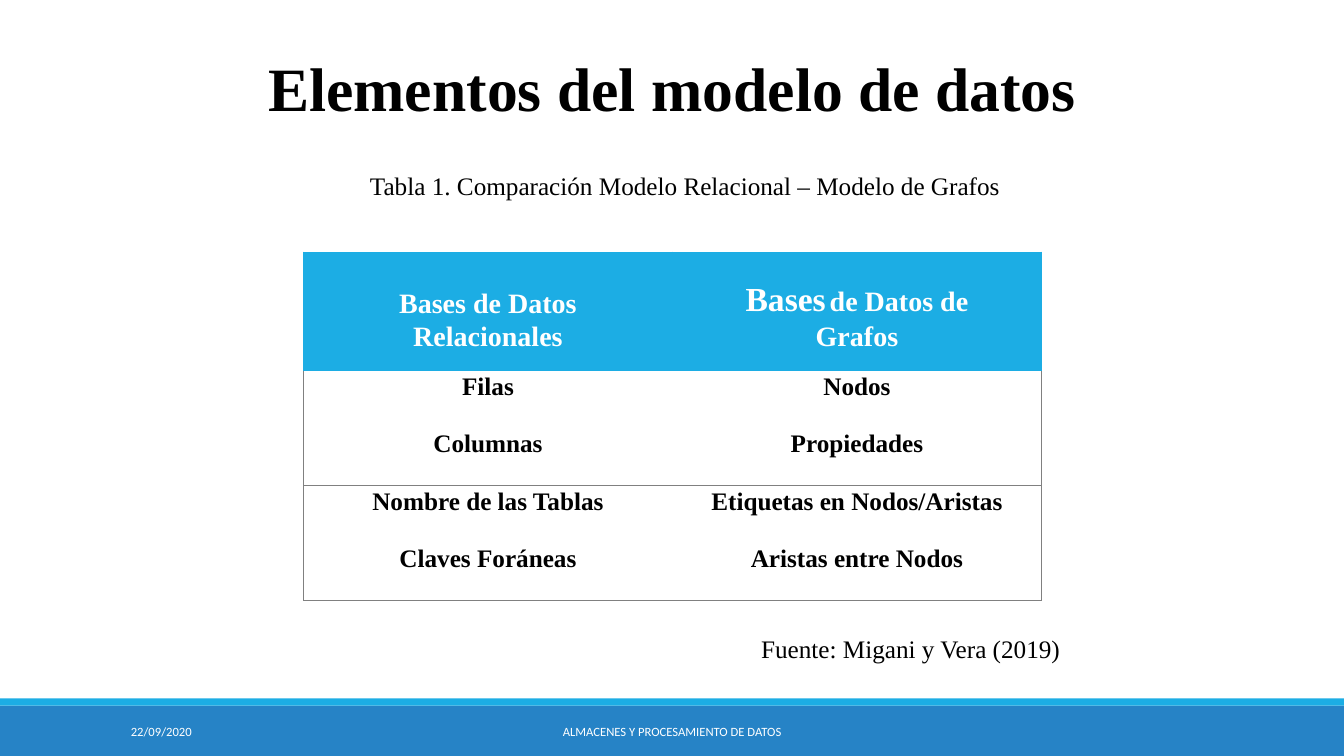
from lxml import etree
from pptx import Presentation
from pptx.dml.color import RGBColor
from pptx.enum import shapes, text
from pptx.oxml import ns
from pptx.util import Inches, Pt

SERIF = "Times New Roman"
SKY, BLUE, GRAY, WHITE, BLACK = "1CADE4", "2683C6", "808080", "FFFFFF", "000000"
CENTER, LEFT = text.PP_ALIGN.CENTER, text.PP_ALIGN.LEFT
HEADERS = [
    (0.34, [[("Bases de Datos", 20)], [("Relacionales", 20)]]),
    (0.27, [[("Bases", 24), (" ", 11), ("de Datos de", 20)], [("Grafos", 20)]]),
]
ROWS = [
    ("Filas", "Nodos"),
    ("Columnas", "Propiedades"),
    ("Nombre de las Tablas", "Etiquetas en Nodos/Aristas"),
    ("Claves Foráneas", "Aristas entre Nodos"),
]


def rgb(color):
    return RGBColor.from_string(color)


def style_run(r, size, color, font=SERIF, bold=False):
    r.font.size = Pt(size)
    r.font.name = font
    r.font.bold = bold
    r.font.color.rgb = rgb(color)


def add_text(s, box, content, size, color, font=SERIF, align=LEFT,
             anchor=text.MSO_ANCHOR.TOP):
    sp = s.shapes.add_textbox(*map(Inches, box))
    tf = sp.text_frame
    tf.word_wrap = True
    tf.vertical_anchor = anchor
    tf.text = content
    p = tf.paragraphs[0]
    p.alignment = align
    style_run(p.runs[0], size, color, font)


def add_bar(s, box, color):
    sp = s.shapes.add_shape(shapes.MSO_SHAPE.RECTANGLE, *map(Inches, box))
    sp.shadow.inherit = False
    sp.fill.solid()
    sp.fill.fore_color.rgb = rgb(color)
    sp.line.fill.background()


def add_title(s, box):
    sp = s.shapes.title
    sp.left, sp.top, sp.width, sp.height = map(Inches, box)
    tf = sp.text_frame
    tf.text = "Elementos del modelo de datos"
    tf.word_wrap = True
    tf.vertical_anchor = text.MSO_ANCHOR.BOTTOM
    p = tf.paragraphs[0]
    p.alignment = CENTER
    p.line_spacing = 0.9
    style_run(p.runs[0], 44, BLACK, bold=True)


def set_borders(cell, colors):
    tcPr = cell._tc.get_or_add_tcPr()
    for side in "LRTB":
        ln = etree.SubElement(tcPr, ns.qn("a:ln" + side), w=str(Pt(0.75)))
        if side in colors:
            fill = etree.SubElement(ln, ns.qn("a:solidFill"))
            etree.SubElement(fill, ns.qn("a:srgbClr"), val=colors[side])
        else:
            etree.SubElement(ln, ns.qn("a:noFill"))


def fill_cell(cell, lines, color, fill, borders, top=0):
    cell.margin_left = cell.margin_right = Inches(0.06)
    cell.margin_top, cell.margin_bottom = Inches(top), 0
    set_borders(cell, borders)
    cell.fill.solid()
    cell.fill.fore_color.rgb = rgb(fill)
    tf = cell.text_frame
    for i, line in enumerate(lines):
        p = tf.add_paragraph() if i else tf.paragraphs[0]
        p.alignment = CENTER
        p.line_spacing = 1.07
        for content, size in line:
            r = p.add_run()
            r.text = content
            style_run(r, size, color, bold=True)


def add_comparison(s, box):
    left, top, width, height = box
    header_height = 1.18
    table = s.shapes.add_table(len(ROWS) + 1, 2, *map(Inches, box)).table
    table.horz_banding = False
    for row in table.rows:
        row.height = Inches((height - header_height) / len(ROWS))
    table.rows[0].height = Inches(header_height)
    for col, (margin, lines) in enumerate(HEADERS):
        table.columns[col].width = Inches(width / 2)
        fill_cell(table.cell(0, col), lines, WHITE, SKY,
                  dict.fromkeys("LRTB", SKY), margin)
    for i, row in enumerate(ROWS, 1):
        for col, content in enumerate(row):
            borders = {"LR"[col]: GRAY}
            if i == 1:
                borders["T"] = SKY
            elif i % 2:
                borders["T"] = GRAY
            else:
                borders["B"] = GRAY
            fill_cell(table.cell(i, col), [[(content, 18)]], BLACK, WHITE, borders)


def add_footer(s, box):
    left, top, width, height = box
    stripe = 0.07
    add_bar(s, (left, top + stripe, width, height - stripe), BLUE)
    add_bar(s, (left, top, width, stripe), SKY)
    for x, w, content, align in [
        (1.2, 2.7, "22/09/2020", LEFT),
        (4.03, 5.27, "ALMACENES Y PROCESAMIENTO DE DATOS", CENTER),
    ]:
        add_text(s, (left + x, top + 0.13, w, 0.4), content, 9, WHITE,
                 "Calibri", align, text.MSO_ANCHOR.MIDDLE)


def main():
    prs = Presentation()
    prs.slide_width, prs.slide_height = Inches(13.33), Inches(7.5)
    s = prs.slides.add_slide(prs.slide_layouts[5])
    add_footer(s, (0, 6.93, 13.33, 0.57))
    add_title(s, (1.17, 0.04, 11, 1.25))
    add_comparison(s, (3.01, 2.5, 7.32, 3.46))
    add_text(s, (3.57, 1.64, 6.45, 1.01),
             "Tabla 1. Comparación Modelo Relacional – Modelo de Grafos",
             18, BLACK, align=CENTER)
    add_text(s, (7.45, 6.23, 4.72, 0.4), "Fuente: Migani y Vera (2019)", 18, BLACK)
    prs.save("out.pptx")


if __name__ == "__main__":
    main()
